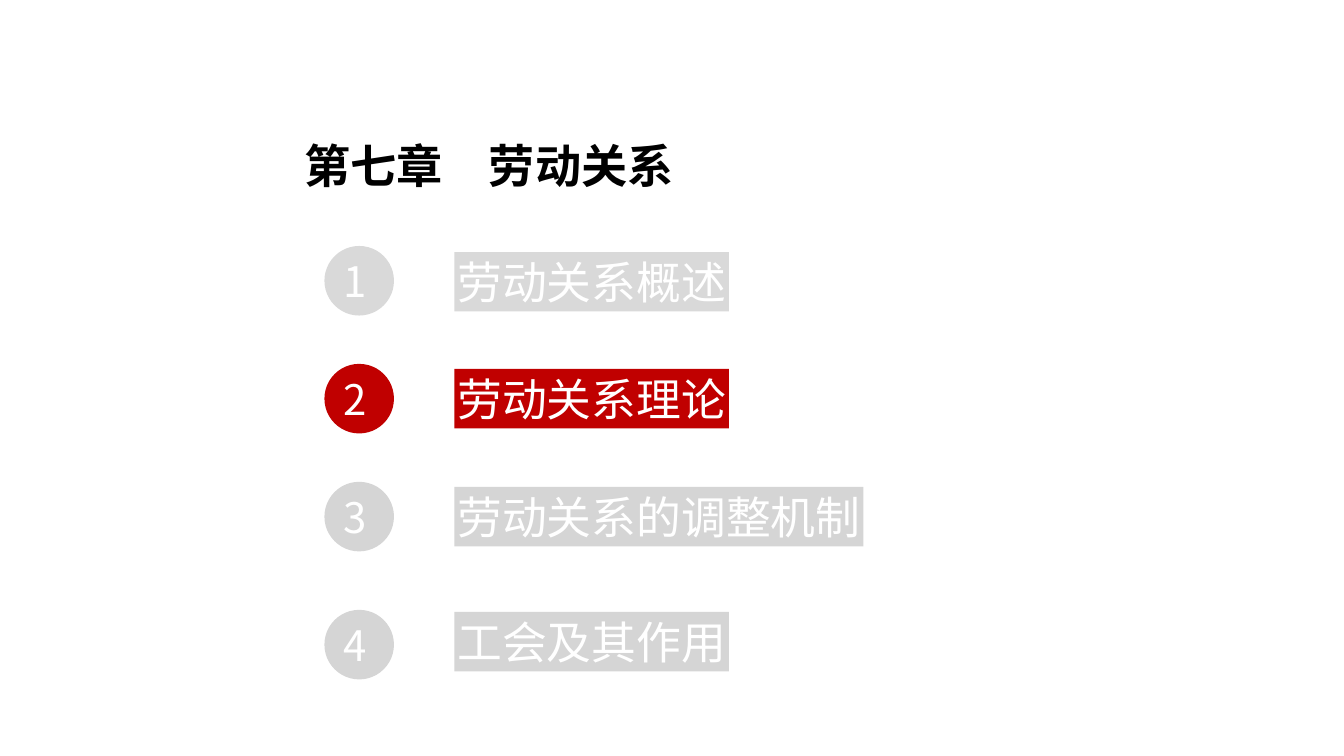
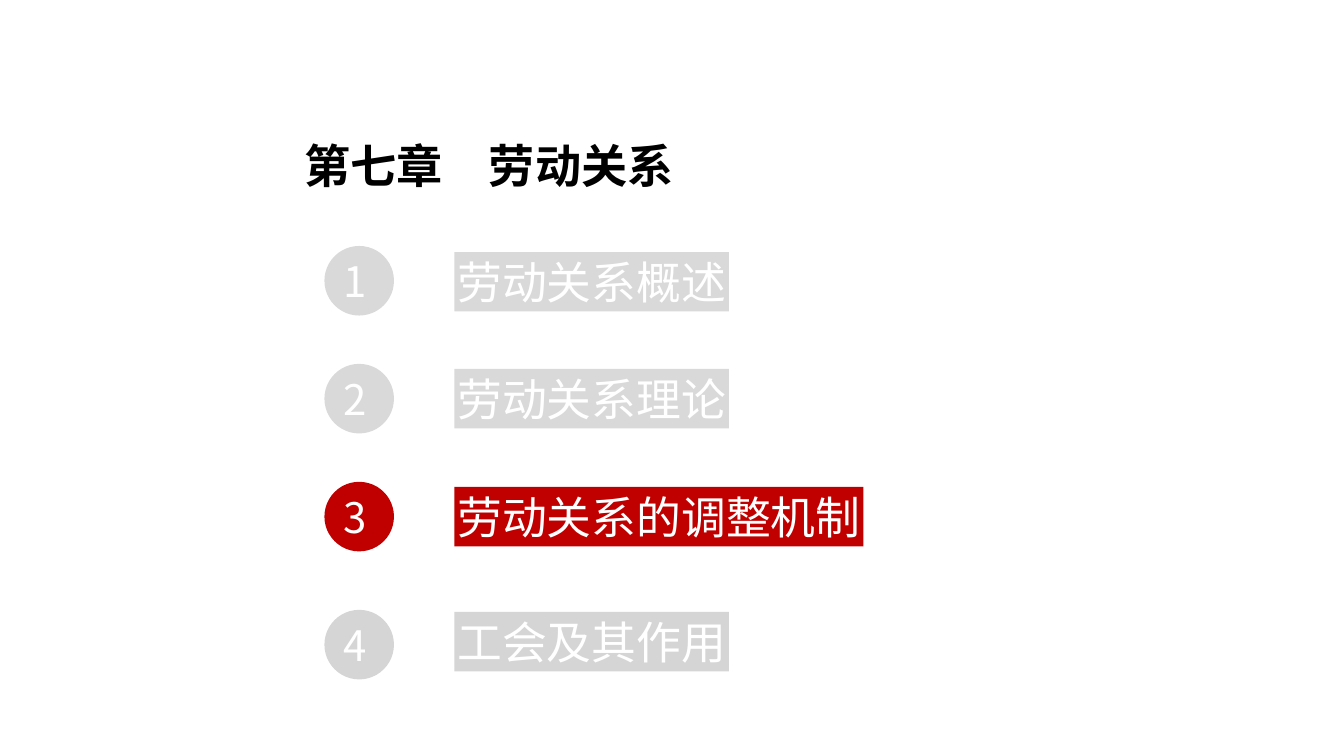
"""Build the chapter outline slides, each with its current section highlighted."""
from pptx import Presentation
from pptx.dml.color import RGBColor
from pptx.enum.shapes import MSO_SHAPE
from pptx.enum.text import MSO_ANCHOR, MSO_AUTO_SIZE, PP_ALIGN
from pptx.oxml.ns import qn
from pptx.util import Inches, Pt

COLORS = {
    "text": "000000",
    "reverse": "FFFFFF",
    "current": "C00000",
    "light": "D9D9D9",
    "muted": "D5D5D5",
}
CHAPTER = "第七章　劳动关系"
SECTIONS = [
    ("劳动关系概述", 2.44, 2.5, "light"),
    ("劳动关系理论", 3.61, 3.66, "light"),
    ("劳动关系的调整机制", 4.78, 4.83, "muted"),
    ("工会及其作用", 6.05, 6.07, "muted"),
]


def write_text(box, text, *, size, font, color, bold=False, margin=0, indent=0,
               spacing=1.0):
    frame = box.text_frame
    frame.margin_left = frame.margin_top = frame.margin_bottom = Inches(margin)
    frame.margin_right = 0
    frame.vertical_anchor = MSO_ANCHOR.MIDDLE
    frame.word_wrap = True
    frame.auto_size = MSO_AUTO_SIZE.NONE
    para = frame.paragraphs[0]
    para.alignment = PP_ALIGN.LEFT
    para.line_spacing = spacing
    if indent:
        para._p.get_or_add_pPr().set("marL", str(Inches(indent)))
    span = para.add_run()
    span.text = text
    span.font.size = Pt(size)
    span.font.bold = bold
    span.font.name = font
    span.font.color.rgb = RGBColor.from_string(COLORS[color])
    east_asian = span._r.get_or_add_rPr().makeelement(qn("a:ea"), {"typeface": font})
    span._r.rPr.find(qn("a:latin")).addnext(east_asian)


class OutlineDeck:
    """Hold the outline style and the current slide."""

    heading_font = "Noto Sans CJK SC"
    label_font = "Calibri"
    label_size = 32
    margin = 0.03
    circle_left, circle_size = 3.22, 0.69
    label_left, label_height = 4.51, 0.59

    def __init__(self):
        self.deck = Presentation()
        self.deck.slide_width = Inches(13.34)
        self.deck.slide_height = Inches(7.5)
        self.page = None

    def add_page(self, title):
        self.page = self.deck.slides.add_slide(self.deck.slide_layouts[5])
        box = self.page.shapes.title
        box.left, box.top = Inches(2.99), Inches(1.06)
        box.width, box.height = Inches(3.8), Inches(0.88)
        write_text(box, title, size=33, font=self.heading_font, color="text",
                   bold=True, margin=self.margin, spacing=1.5)

    def add_block(self, preset, left, top, width, height, fill):
        block = self.page.shapes.add_shape(
            preset, Inches(left), Inches(top), Inches(width), Inches(height))
        block.shadow.inherit = False
        block.fill.solid()
        block.fill.fore_color.rgb = RGBColor.from_string(COLORS[fill])
        block.line.fill.background()
        return block

    def add_number(self, number, top, fill):
        circle = self.add_block(MSO_SHAPE.OVAL, self.circle_left, top,
                                self.circle_size, self.circle_size, fill)
        write_text(circle, str(number), size=30, font=self.heading_font,
                   color="reverse", indent=0.09)

    def add_label(self, text, top, fill):
        width = len(text) * self.label_size / 72 + 2 * self.margin
        label = self.add_block(MSO_SHAPE.RECTANGLE, self.label_left, top,
                               width, self.label_height, fill)
        write_text(label, text, size=self.label_size, font=self.label_font,
                   color="reverse", margin=self.margin)

    def add_outline(self, current):
        self.add_page(CHAPTER)
        for number, (text, circle_top, label_top, idle) in enumerate(SECTIONS, 1):
            fill = "current" if number == current else idle
            self.add_number(number, circle_top, fill)
            self.add_label(text, label_top, fill)


def main():
    outline = OutlineDeck()
    for current in (2, 3):
        outline.add_outline(current)
    outline.deck.save("out.pptx")


if __name__ == "__main__":
    main()
